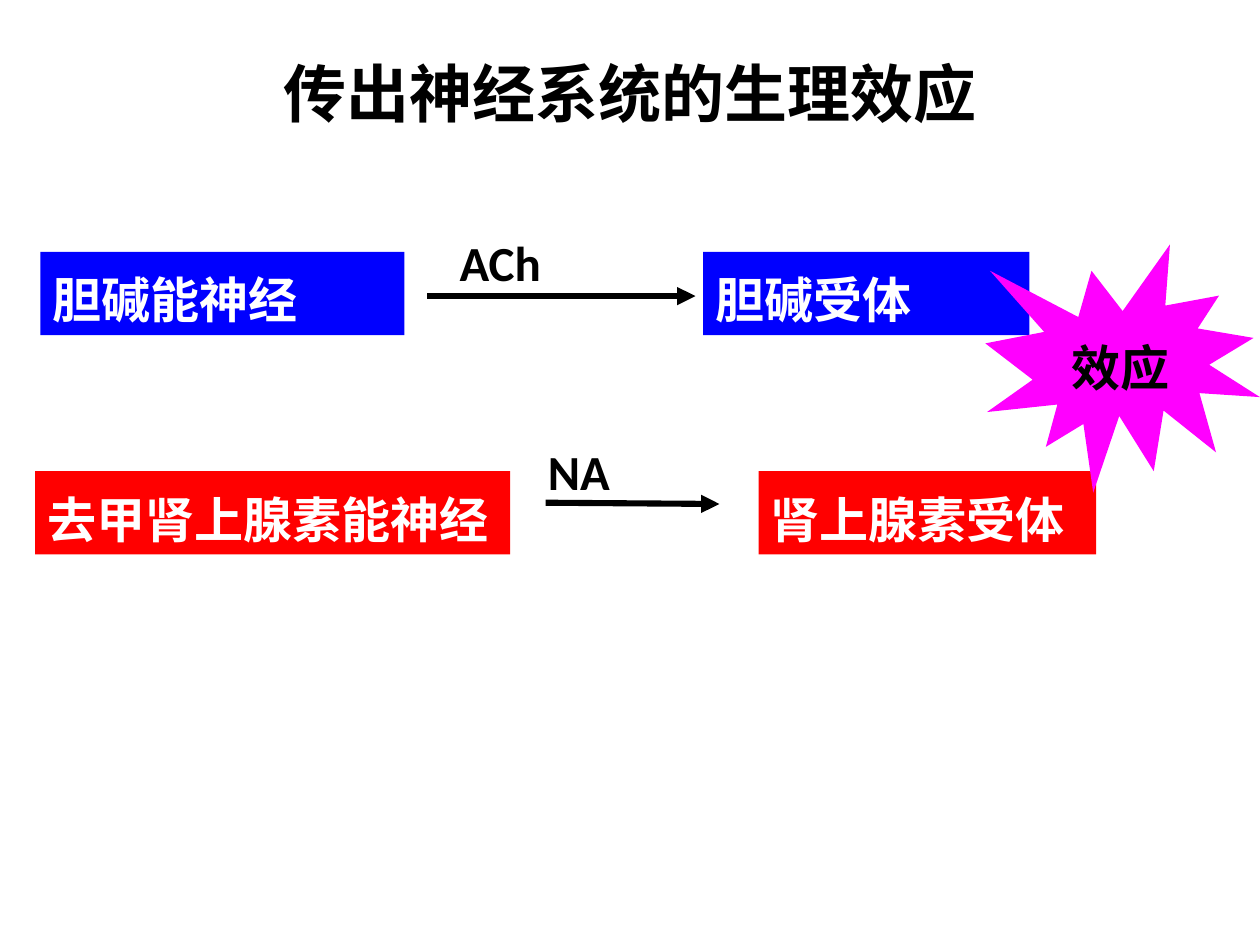
from lxml import etree
from pptx import Presentation
from pptx.dml.color import RGBColor
from pptx.enum import shapes, text
from pptx.oxml.ns import qn
from pptx.util import Inches, Pt

BLACK, WHITE, BLUE, RED, MAGENTA = "000000", "FFFFFF", "0000FF", "FF0000", "FF00FF"
TITLE = ("传出神经系统的生理效应", (0.5, 0.3, 9, 0.87))
BOX_HEIGHT = 0.66
PATHWAYS = [
    {"top": 2, "fill": BLUE,
     "boxes": [("胆碱能神经", 0.32, 2.89), ("胆碱受体", 5.58, 2.59)],
     "transmitter": ("ACh", 3.55, 1.7, 1.6), "arrow": (3.39, 2.35, 5.52, 2.35)},
    {"top": 3.74, "fill": RED,
     "boxes": [("去甲肾上腺素能神经", 0.28, 3.77), ("肾上腺素受体", 6.02, 2.68)],
     "transmitter": ("NA", 4.25, 3.36, 1.44), "arrow": (4.33, 3.99, 5.71, 4)},
]
EFFECT = ("效应", (7.82, 1.94, 2.18, 1.97))


def color(value):
    return RGBColor.from_string(value)


def write(shape, wording, ink, size=28, font="Calibri", spacing=1.2, centered=False, wrap=True):
    frame = shape.text_frame
    frame.text = wording
    frame.word_wrap = wrap
    frame.vertical_anchor = text.MSO_ANCHOR.MIDDLE if centered else text.MSO_ANCHOR.TOP
    paragraph = frame.paragraphs[0]
    paragraph.alignment = text.PP_ALIGN.CENTER if centered else text.PP_ALIGN.LEFT
    paragraph.line_spacing = spacing
    style = paragraph.runs[0].font
    style.name, style.size, style.bold = font, Pt(size), True
    style.color.rgb = color(ink)


def add_filled(slide, preset, bounds, fill):
    shape = slide.shapes.add_shape(preset, *map(Inches, bounds))
    shape.shadow.inherit = False
    shape.fill.solid()
    shape.fill.fore_color.rgb = color(fill)
    shape.line.fill.background()
    return shape


def add_text(slide, bounds):
    return slide.shapes.add_textbox(*map(Inches, bounds))


def add_arrow(slide, ends):
    arrow = slide.shapes.add_connector(shapes.MSO_CONNECTOR.STRAIGHT, *map(Inches, ends))
    arrow.line.color.rgb = color(BLACK)
    arrow.line.width = Pt(3.5)
    etree.SubElement(arrow.line._get_or_add_ln(), qn("a:tailEnd"), type="triangle")
    etree.SubElement(arrow._element.spPr, qn("a:effectLst"))


def main():
    presentation = Presentation()
    presentation.slide_width, presentation.slide_height = Inches(10), Inches(7.5)
    slide = presentation.slides.add_slide(presentation.slide_layouts[6])

    wording, bounds = TITLE
    write(add_text(slide, bounds), wording, BLACK, 36, "Roboto", 1, centered=True)

    for pathway in PATHWAYS:
        for wording, left, width in pathway["boxes"]:
            bounds = (left, pathway["top"], width, BOX_HEIGHT)
            box = add_filled(slide, shapes.MSO_SHAPE.RECTANGLE, bounds, pathway["fill"])
            write(box, wording, WHITE)
        add_arrow(slide, pathway["arrow"])
        wording, left, top, width = pathway["transmitter"]
        write(add_text(slide, (left, top, width, BOX_HEIGHT)), wording, BLACK)

    wording, bounds = EFFECT
    burst = add_filled(slide, shapes.MSO_SHAPE.EXPLOSION1, bounds, MAGENTA)
    write(burst, wording, BLACK, centered=True, wrap=False)

    presentation.save("out.pptx")


if __name__ == "__main__":
    main()
